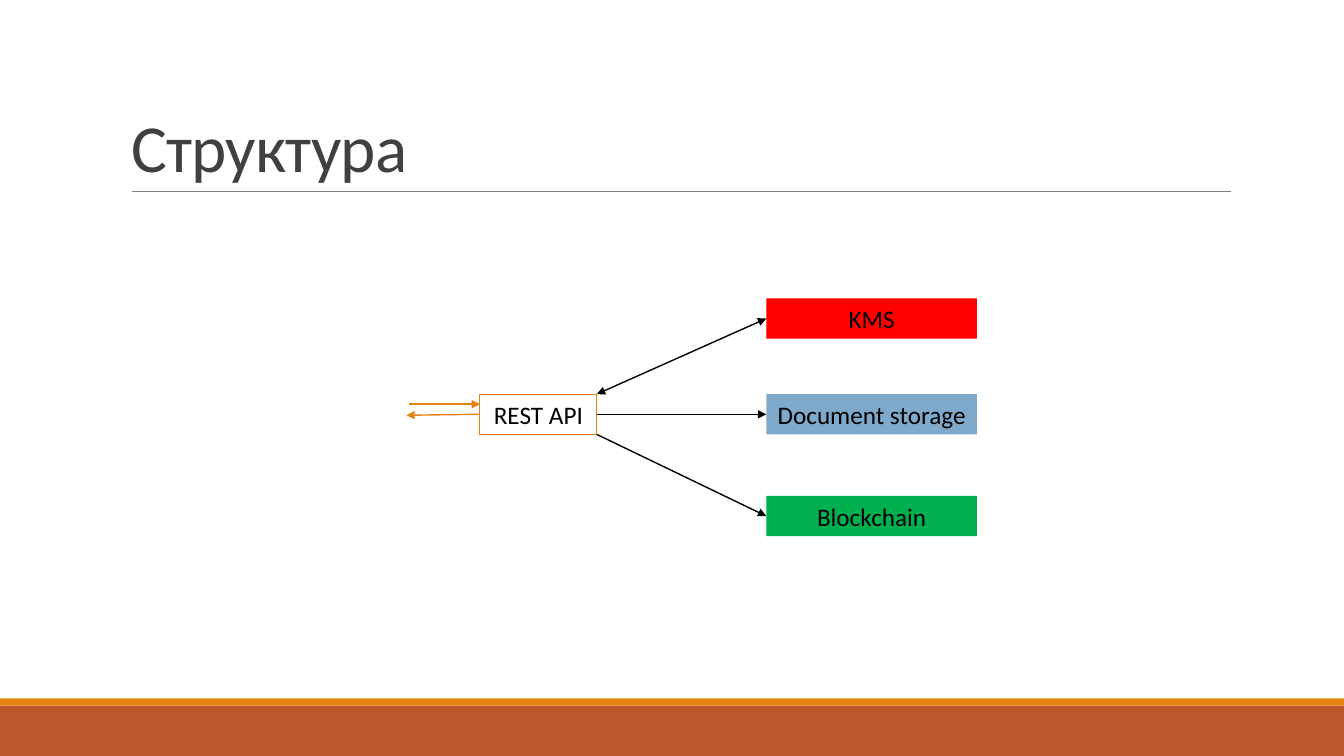
from lxml.etree import SubElement
from pptx import Presentation
from pptx.dml.color import RGBColor
from pptx.enum.shapes import MSO_CONNECTOR as Connector, MSO_SHAPE as Shape
from pptx.enum.text import MSO_ANCHOR as Anchor, PP_ALIGN as Align
from pptx.oxml.ns import qn
from pptx.util import Inches, Pt


def color(value):
    return RGBColor.from_string(value)


def add_line(start, end, line_color, width, arrows=()):
    points = [Inches(value) for value in (*start, *end)]
    connector = slide.shapes.add_connector(Connector.STRAIGHT, *points)
    connector.line.color.rgb = color(line_color)
    connector.line.width = Pt(width)
    for arrow in arrows:
        SubElement(connector.line._get_or_add_ln(), qn(f"a:{arrow}"), type="triangle")
    SubElement(connector._element.spPr, qn("a:effectLst"))
    return connector


WIDTH, HEIGHT = 13.33, 7.5
ORANGE, BLACK = "E48312", "000000"
BOX_HEIGHT = 0.4
API_LEFT, API_WIDTH = 4.76, 1.16
API_RIGHT = API_LEFT + API_WIDTH
SERVICE_LEFT, SERVICE_WIDTH = 7.6, 2.09
MIDDLE_TOP = 3.91
MIDDLE_BOTTOM = MIDDLE_TOP + BOX_HEIGHT
MIDDLE_CENTER = MIDDLE_TOP + BOX_HEIGHT / 2

presentation = Presentation()
presentation.slide_width, presentation.slide_height = Inches(WIDTH), Inches(HEIGHT)
slide = presentation.slides.add_slide(presentation.slide_layouts[5])

for top, height, fill in ((7, 0.5, "BD582C"), (6.93, 0.07, ORANGE)):
    band = slide.shapes.add_shape(
        Shape.RECTANGLE, 0, Inches(top), Inches(WIDTH), Inches(height))
    band.shadow.inherit = False
    band.fill.solid()
    band.fill.fore_color.rgb = color(fill)
    band.line.fill.background()

add_line((1.31, 1.9), (12.21, 1.9), "808080", 0.5)

title = slide.shapes.title
title.left, title.top, title.width, title.height = map(Inches, (1.2, 0.31, 11, 1.59))
title.text_frame.text = "Структура"
title.text_frame.vertical_anchor = Anchor.BOTTOM
title.text_frame.word_wrap = True
paragraph = title.text_frame.paragraphs[0]
paragraph.alignment = Align.LEFT
paragraph.line_spacing = 0.85
run = paragraph.runs[0]
run.font.name, run.font.size = "Calibri", Pt(48)
run.font.color.rgb = color("404040")
run.font._element.set("spc", "-50")

boxes = {}
for label, left, top, width, fill in (
    ("REST API", API_LEFT, MIDDLE_TOP, API_WIDTH, None),
    ("Document storage", SERVICE_LEFT, MIDDLE_TOP, SERVICE_WIDTH, "7EA9CA"),
    ("KMS", SERVICE_LEFT, 2.96, SERVICE_WIDTH, "FF0000"),
    ("Blockchain", SERVICE_LEFT, 4.92, SERVICE_WIDTH, "00B050"),
):
    box = slide.shapes.add_shape(
        Shape.RECTANGLE, *map(Inches, (left, top, width, BOX_HEIGHT)))
    box.shadow.inherit = False
    if fill:
        box.fill.solid()
        box.fill.fore_color.rgb = color(fill)
        box.line.fill.background()
    else:
        box.fill.background()
        box.line.color.rgb = color(ORANGE)
        box.line.width = Pt(0.75)
    box.text_frame.text = label
    box.text_frame.word_wrap = False
    box.text_frame.vertical_anchor = Anchor.MIDDLE
    paragraph = box.text_frame.paragraphs[0]
    paragraph.alignment = Align.CENTER
    font = paragraph.runs[0].font
    font.name, font.size = "Calibri", Pt(18)
    font.color.rgb = color(BLACK)
    boxes[label] = box

add_line((4.06, 4.01), (API_LEFT, 4.01), ORANGE, 1, ["tailEnd"])
response = add_line((API_LEFT, MIDDLE_CENTER), (4.03, 4.12), ORANGE, 1, ["tailEnd"])
response.begin_connect(boxes["REST API"], 1)

for label, start_top, arrows in (
    ("KMS", MIDDLE_TOP, ["headEnd", "tailEnd"]),
    ("Blockchain", MIDDLE_BOTTOM, ["tailEnd"]),
    ("Document storage", MIDDLE_CENTER, ["tailEnd"]),
):
    link = add_line(
        (API_RIGHT, start_top), (SERVICE_LEFT, MIDDLE_CENTER), BLACK, 1, arrows)
    if start_top == MIDDLE_CENTER:
        link.begin_connect(boxes["REST API"], 3)
    link.end_connect(boxes[label], 1)

presentation.save("out.pptx")
